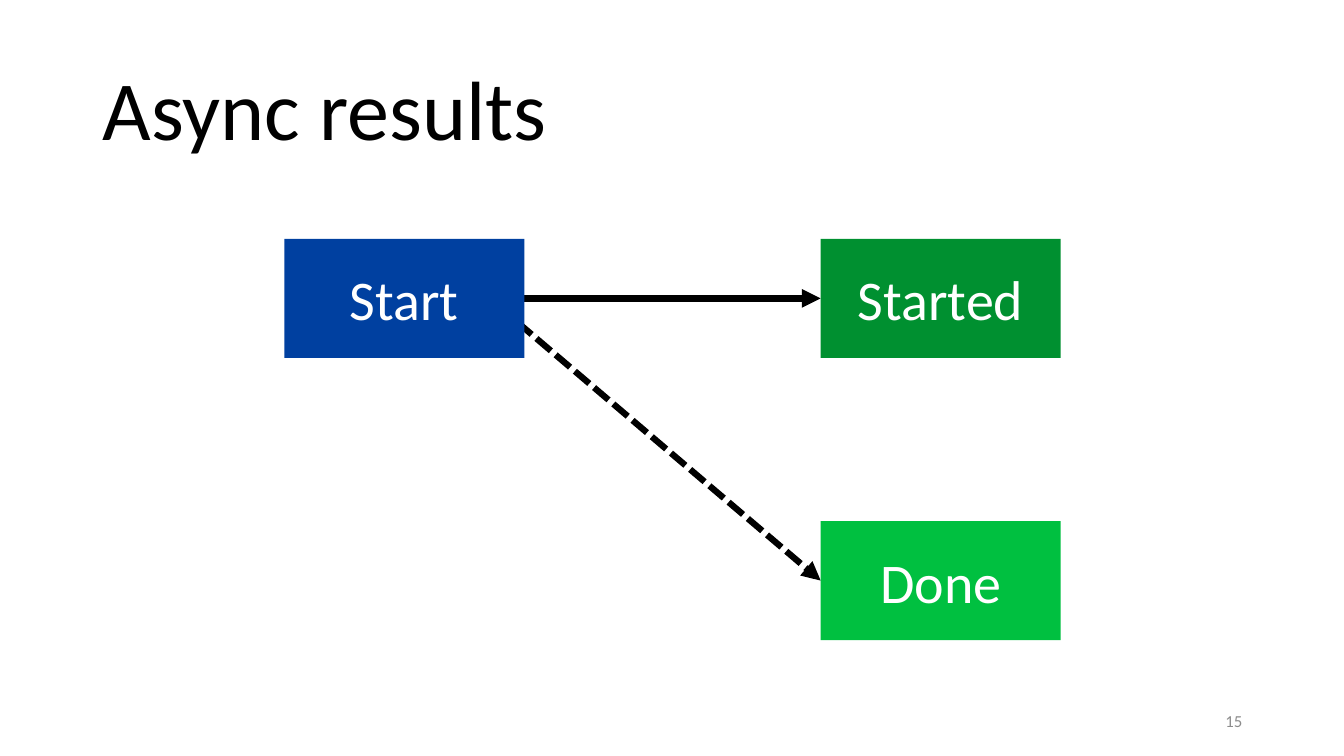
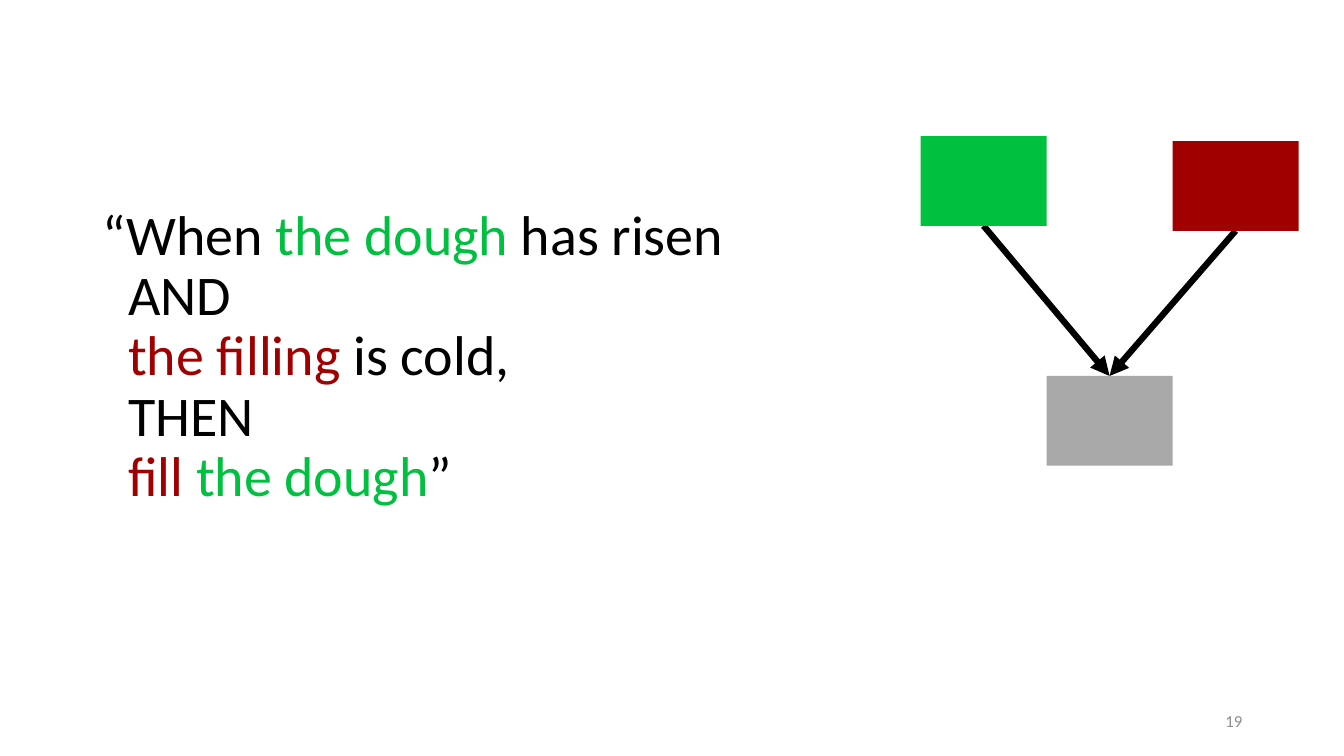
from dataclasses import dataclass

from lxml import etree
from pptx import Presentation
from pptx import util as u
from pptx.dml.color import RGBColor
from pptx.enum import dml, shapes, text
from pptx.oxml.ns import qn


@dataclass(frozen=True)
class Theme:
    font: str = "Calibri"
    black: str = "000000"
    white: str = "FFFFFF"
    blue: str = "0040A0"
    dark_green: str = "009030"
    green: str = "00C040"
    red: str = "A00000"
    grey: str = "A8A8A8"
    number: str = "8C8C8C"
    title_size: int = 60
    text_size: int = 40
    number_size: int = 12
    line_width: float = 4.5


T = Theme()
W, H = 13.33, 7.5
MARGIN, CONTENT_W = 0.92, 11.5


def write(sp, area, runs, size, align=text.PP_ALIGN.LEFT, anchor=text.MSO_ANCHOR.MIDDLE):
    """Place a shape and fill its first paragraph with (text, colour) runs."""
    sp.left, sp.top, sp.width, sp.height = (u.Inches(v) for v in area)
    tf = sp.text_frame
    tf.word_wrap, tf.auto_size, tf.vertical_anchor = True, text.MSO_AUTO_SIZE.NONE, anchor
    p = tf.paragraphs[0]
    p.alignment = align
    for words, colour in runs:
        if words == "\n":
            p.add_line_break()
            continue
        r = p.add_run()
        r.text = words
        r.font.name, r.font.size = T.font, u.Pt(size)
        r.font.color.rgb = RGBColor.from_string(colour)
    return p


def arrow(s, start, end, dashed=False):
    """Draw a black connector with a triangle at its end."""
    cx = s.shapes.add_connector(shapes.MSO_CONNECTOR.STRAIGHT,
                                *(u.Inches(v) for v in (*start, *end)))
    cx.line.width = u.Pt(T.line_width)
    cx.line.color.rgb = RGBColor.from_string(T.black)
    if dashed:
        cx.line.dash_style = dml.MSO_LINE.SQUARE_DOT
    etree.SubElement(cx.line._get_or_add_ln(), qn("a:tailEnd"), type="triangle")
    etree.SubElement(cx._element.spPr, qn("a:effectLst"))


prs = Presentation()
prs.slide_width, prs.slide_height = u.Inches(W), u.Inches(H)
async_slide = prs.slides.add_slide(prs.slide_layouts[5])
recipe_slide = prs.slides.add_slide(prs.slide_layouts[1])

# Title of the first slide; the second has none
p = write(async_slide.shapes.title, (MARGIN, 0.4, CONTENT_W, 1.45),
          [("Async results", T.black)], T.title_size)
p.line_spacing = 0.9
empty_title = recipe_slide.shapes.title._element
empty_title.getparent().remove(empty_title)

# Recipe sentence, with a hanging indent under the opening quote
p = write(recipe_slide.placeholders[1], (MARGIN, 2, CONTENT_W, 4.76), [
    ("“When ", T.black), ("the dough ", T.green), ("has risen", T.black), ("\n", None),
    ("AND", T.black), ("\n", None),
    ("the filling ", T.red), ("is cold,", T.black), ("\n", None),
    ("THEN", T.black), ("\n", None),
    ("fill ", T.red), ("the dough", T.green), ("”", T.black),
], T.text_size, anchor=text.MSO_ANCHOR.TOP)
p.line_spacing, p.space_before, p.space_after = 0.9, u.Pt(0), u.Pt(12)
pPr = p._p.get_or_add_pPr()
pPr.set("marL", str(u.Inches(0.25)))
pPr.set("indent", str(-u.Inches(0.25)))
etree.SubElement(pPr, qn("a:buNone"))

# Async grid: two columns, two rows
box_w, box_h = 2.38, 1.18
cols, rows = (2.82, 8.14), (2.37, 5.17)
start_right = cols[0] + box_w
mid = [row + box_h / 2 for row in rows]

# Recipe grid: three adjoining columns, the red box slightly lower
part_w, part_h = 1.25, 0.89
part_cols = [9.13 + i * part_w for i in range(3)]
dough_top, filling_top, result_top = 1.35, 1.4, 3.73
part_mid = [col + part_w / 2 for col in part_cols]

# Arrows lie behind the boxes
arrow(async_slide, (start_right - 0.07, mid[0] + box_h / 5), (cols[1], mid[1]), dashed=True)
arrow(async_slide, (start_right, mid[0]), (cols[1], mid[0]))
for col, top in ((0, dough_top), (2, filling_top)):
    arrow(recipe_slide, (part_mid[col], top + part_h), (part_mid[1], result_top))

# Boxes
for s, area, fill, label in (
    (async_slide, (cols[1], rows[1], box_w, box_h), T.green, "Done"),
    (async_slide, (cols[1], rows[0], box_w, box_h), T.dark_green, "Started"),
    (async_slide, (cols[0], rows[0], box_w, box_h), T.blue, "Start"),
    (recipe_slide, (part_cols[0], dough_top, part_w, part_h), T.green, None),
    (recipe_slide, (part_cols[2], filling_top, part_w, part_h), T.red, None),
    (recipe_slide, (part_cols[1], result_top, part_w, part_h), T.grey, None),
):
    sp = s.shapes.add_shape(shapes.MSO_SHAPE.RECTANGLE, 0, 0, 0, 0)
    sp.shadow.inherit = False
    sp.fill.solid()
    sp.fill.fore_color.rgb = RGBColor.from_string(fill)
    sp.line.fill.background()
    write(sp, area, [(label, T.white)] if label else [], T.text_size, text.PP_ALIGN.CENTER)

# Slide numbers
for s, number in ((async_slide, "15"), (recipe_slide, "19")):
    write(s.shapes.add_textbox(0, 0, 0, 0), (MARGIN + CONTENT_W - 3, 6.95, 3, 0.4),
          [(number, T.number)], T.number_size, text.PP_ALIGN.RIGHT)

prs.save("out.pptx")
